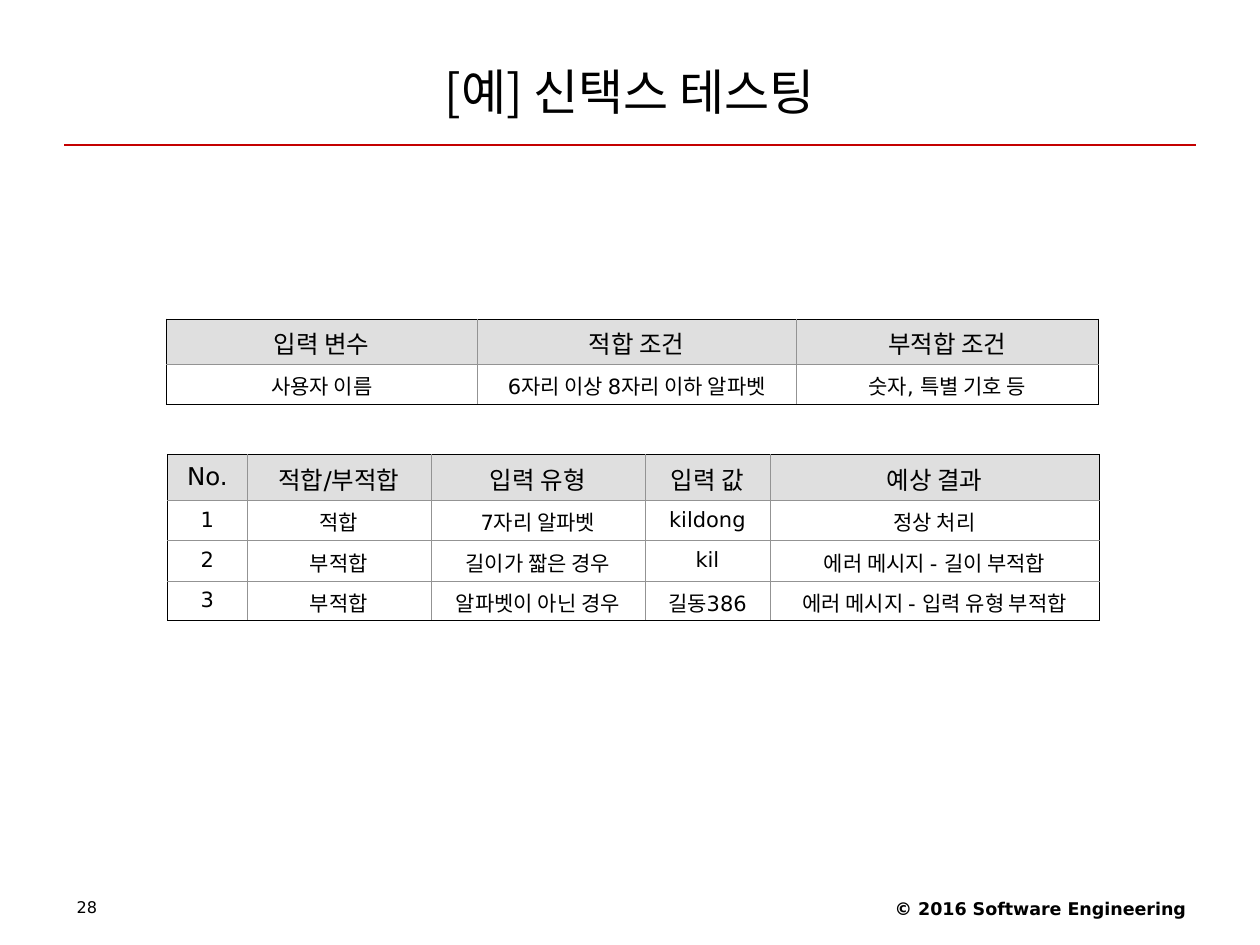
from dataclasses import dataclass

from lxml import etree
from pptx import Presentation, oxml
from pptx.dml.color import RGBColor
from pptx.enum import shapes, text
from pptx.oxml.ns import qn
from pptx.util import Pt


@dataclass(frozen=True)
class Theme:
    black: str = "000000"
    gray: str = "939393"
    head: str = "DFDFDF"
    red: str = "C40000"
    sans: str = "DejaVu Sans"
    hangul: str = "Noto Sans CJK KR"
    title: float = 28
    label: float = 14
    body: float = 12
    foot: float = 10
    page: float = 9.2
    edge: float = 0.45
    inner: float = 0.11


T = Theme()
MID, TOP = text.MSO_ANCHOR.MIDDLE, text.MSO_ANCHOR.TOP
LEFT, RIGHT, CENTER = text.PP_ALIGN.LEFT, text.PP_ALIGN.RIGHT, text.PP_ALIGN.CENTER


def write(frame, words, size, face=T.sans, align=CENTER, bold=False):
    """Fill a text frame with one styled paragraph."""
    para = frame.paragraphs[0]
    para.alignment = align
    run = para.add_run()
    run.text = words
    style = {"name": face, "size": Pt(size), "bold": bold}
    for key, value in style.items():
        setattr(run.font, key, value)
    run.font.color.rgb = RGBColor.from_string(T.black)
    east = etree.SubElement(run.font._element, qn("a:ea"))
    east.set("typeface", T.hangul)
    return para


def border(cell, side, outer):
    """Draw one side of a cell: dark on the rim, pale inside."""
    color, width = (T.black, T.edge) if outer else (T.gray, T.inner)
    cell._tc.get_or_add_tcPr().append(oxml.parse_xml(
        f'<a:ln{side} xmlns:a="http://schemas.openxmlformats.org/drawingml/2006/main"'
        f' w="{int(Pt(width))}"><a:solidFill><a:srgbClr val="{color}"/>'
        f'</a:solidFill></a:ln{side}>'))


deck = Presentation()
deck.slide_width, deck.slide_height = Pt(720), Pt(540)
slide = deck.slides.add_slide(deck.slide_layouts[6])

# Rule under the title
rule = slide.shapes.add_connector(
    shapes.MSO_CONNECTOR.STRAIGHT, Pt(36.7), Pt(82.8), Pt(683.3), Pt(82.8))
rule.line.color.rgb = RGBColor.from_string(T.red)
rule.line.width = Pt(0.75)
etree.SubElement(rule._element.spPr, qn("a:effectLst"))

# Footer, page number and title
boxes = [
    ((456.5, 509.8, 228.2, 20.9), TOP, None,
     ("© 2016 Software Engineering", T.foot, T.sans, RIGHT, True)),
    ((36.7, 510.5, 167.8, 20.2), TOP, 0.9, ("28", T.page, T.sans, LEFT)),
    ((36, 21.6, 648, 61.2), MID, None, ("[예] 신택스 테스팅", T.title, T.hangul)),
]
for place, anchor, space, words in boxes:
    frame = slide.shapes.add_textbox(*map(Pt, place)).text_frame
    frame.word_wrap = True
    frame.vertical_anchor = anchor
    write(frame, *words).line_spacing = space

# Tables: input rules, then test cases
tables = [
    (95, 182.2, [177.8, 182.2, 172.8], [
        ["입력 변수", "적합 조건", "부적합 조건"],
        ["사용자 이름", "6자리 이상 8자리 이하 알파벳", "숫자, 특별 기호 등"],
    ]),
    (95.8, 259.9, [45.4, 105, 122.4, 71.3, 188.4], [
        ["No.", "적합/부적합", "입력 유형", "입력 값", "예상 결과"],
        ["1", "적합", "7자리 알파벳", "kildong", "정상 처리"],
        ["2", "부적합", "길이가 짧은 경우", "kil", "에러 메시지 - 길이 부적합"],
        ["3", "부적합", "알파벳이 아닌 경우", "길동386", "에러 메시지 - 입력 유형 부적합"],
    ]),
]
tall, low = 25.9, 23
inset = {"margin_left": Pt(8.64), "margin_right": Pt(8.64),
         "margin_top": Pt(3.6), "margin_bottom": Pt(3.6), "vertical_anchor": MID}
for left, top, widths, rows in tables:
    high = tall + low * (len(rows) - 1)
    grid = slide.shapes.add_table(
        len(rows), len(widths), Pt(left), Pt(top), Pt(sum(widths)), Pt(high)).table
    grid.first_row = grid.horz_banding = False
    for col, width in zip(grid.columns, widths):
        col.width = Pt(width)
    for r, row in enumerate(rows):
        grid.rows[r].height = Pt(low if r else tall)
        for c, words in enumerate(row):
            cell = grid.cell(r, c)
            for key, value in inset.items():
                setattr(cell, key, value)
            write(cell.text_frame, words, T.body if r else T.label)
            rim = {"L": c == 0, "R": c == len(row) - 1,
                   "T": r == 0, "B": r == len(rows) - 1}
            for side, outer in rim.items():
                border(cell, side, outer)
            if r:
                cell.fill.background()
            else:
                cell.fill.solid()
                cell.fill.fore_color.rgb = RGBColor.from_string(T.head)

deck.save("out.pptx")
